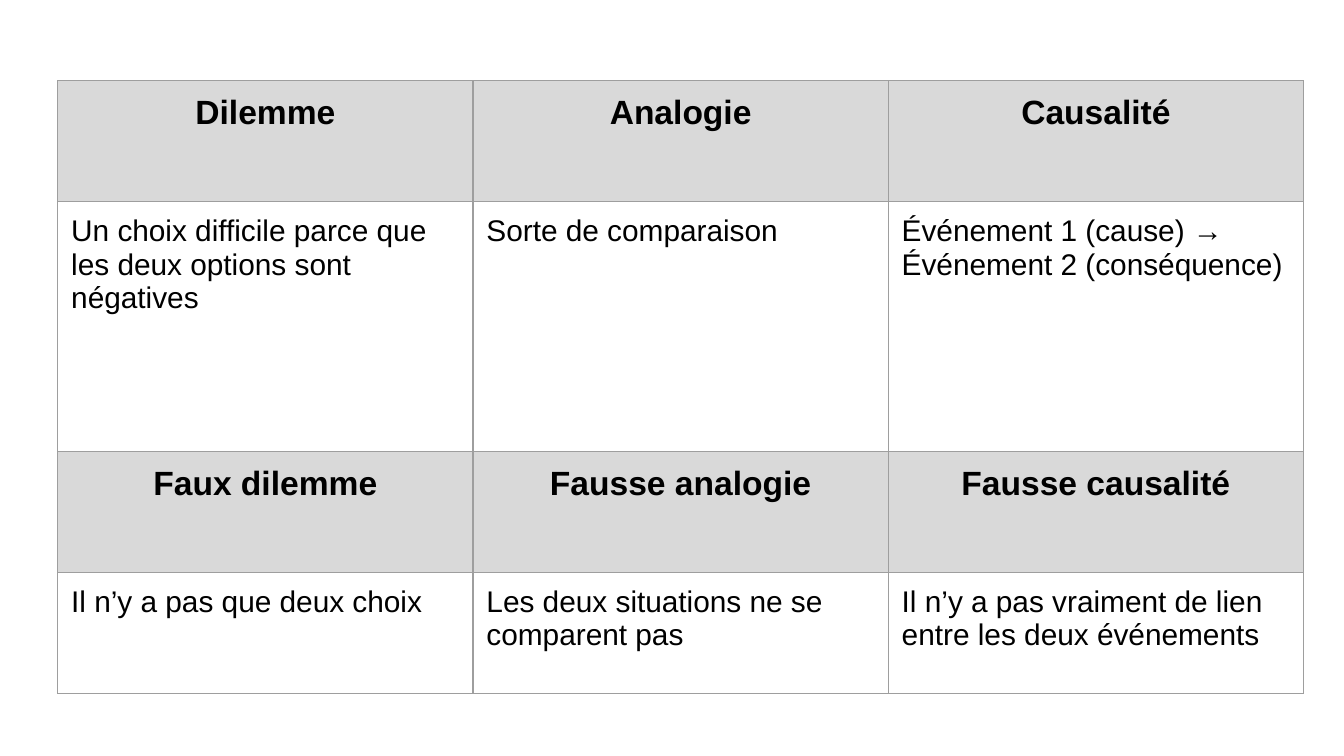
"""Build a slide with a table of three forms of reasoning and their fallacies."""
from lxml import etree
from pptx import Presentation
from pptx.dml.color import RGBColor
from pptx.enum.text import MSO_ANCHOR, PP_ALIGN
from pptx.oxml.ns import qn
from pptx.util import Inches, Pt

CENTER, LEFT, TOP = PP_ALIGN.CENTER, PP_ALIGN.LEFT, MSO_ANCHOR.TOP
COLORS = {"text": "000000", "header": "D9D9D9", "border": "9E9E9E"}
FONT = "Arial"
SLIDE_WIDTH = Inches(10)
SLIDE_HEIGHT = SLIDE_WIDTH * 9 // 16
COLUMN_WIDTH = 3.09
MARGIN = Inches(0.1)

ROWS = [
    ("header", 0.9, ("Dilemme", "Analogie", "Causalité")),
    ("body", 1.86, (
        "Un choix difficile parce que les deux options sont négatives",
        "Sorte de comparaison",
        "Événement 1 (cause) → Événement 2 (conséquence)",
    )),
    ("header", 0.9, ("Faux dilemme", "Fausse analogie", "Fausse causalité")),
    ("body", 0.9, (
        "Il n’y a pas que deux choix",
        "Les deux situations ne se comparent pas",
        "Il n’y a pas vraiment de lien entre les deux événements",
    )),
]
STYLES = {
    "header": {"size": 18, "bold": True, "align": CENTER},
    "body": {"size": 16, "bold": False, "align": LEFT},
}


def add_borders(cell):
    properties = cell._tc.get_or_add_tcPr()
    for index, side in enumerate(("lnL", "lnR", "lnT", "lnB")):
        line = etree.Element(qn(f"a:{side}"), w=str(Pt(0.75)))
        fill = etree.SubElement(line, qn("a:solidFill"))
        etree.SubElement(fill, qn("a:srgbClr"), val=COLORS["border"])
        properties.insert(index, line)


def fill_cell(cell, text, kind):
    style = STYLES[kind]
    cell.margin_left = cell.margin_right = MARGIN
    cell.margin_top = cell.margin_bottom = MARGIN
    cell.vertical_anchor = TOP
    if kind == "header":
        cell.fill.solid()
        cell.fill.fore_color.rgb = RGBColor.from_string(COLORS["header"])
    else:
        cell.fill.background()
    add_borders(cell)
    para = cell.text_frame.paragraphs[0]
    para.alignment = style["align"]
    span = para.add_run()
    span.text = text
    span.font.name = FONT
    span.font.size = Pt(style["size"])
    span.font.bold = style["bold"]
    span.font.color.rgb = RGBColor.from_string(COLORS["text"])


def main():
    deck = Presentation()
    deck.slide_width, deck.slide_height = SLIDE_WIDTH, SLIDE_HEIGHT
    page = deck.slides.add_slide(deck.slide_layouts[6])
    column_count = len(ROWS[0][2])
    total_height = sum(height for _, height, _ in ROWS)
    table = page.shapes.add_table(
        len(ROWS), column_count, Inches(0.43), Inches(0.6),
        Inches(COLUMN_WIDTH * column_count), Inches(total_height),
    ).table
    table.first_row = table.horz_banding = False
    for column in table.columns:
        column.width = Inches(COLUMN_WIDTH)
    for row, (kind, height, texts) in zip(table.rows, ROWS):
        row.height = Inches(height)
        for cell, text in zip(row.cells, texts):
            fill_cell(cell, text, kind)
    deck.save("out.pptx")


if __name__ == "__main__":
    main()
